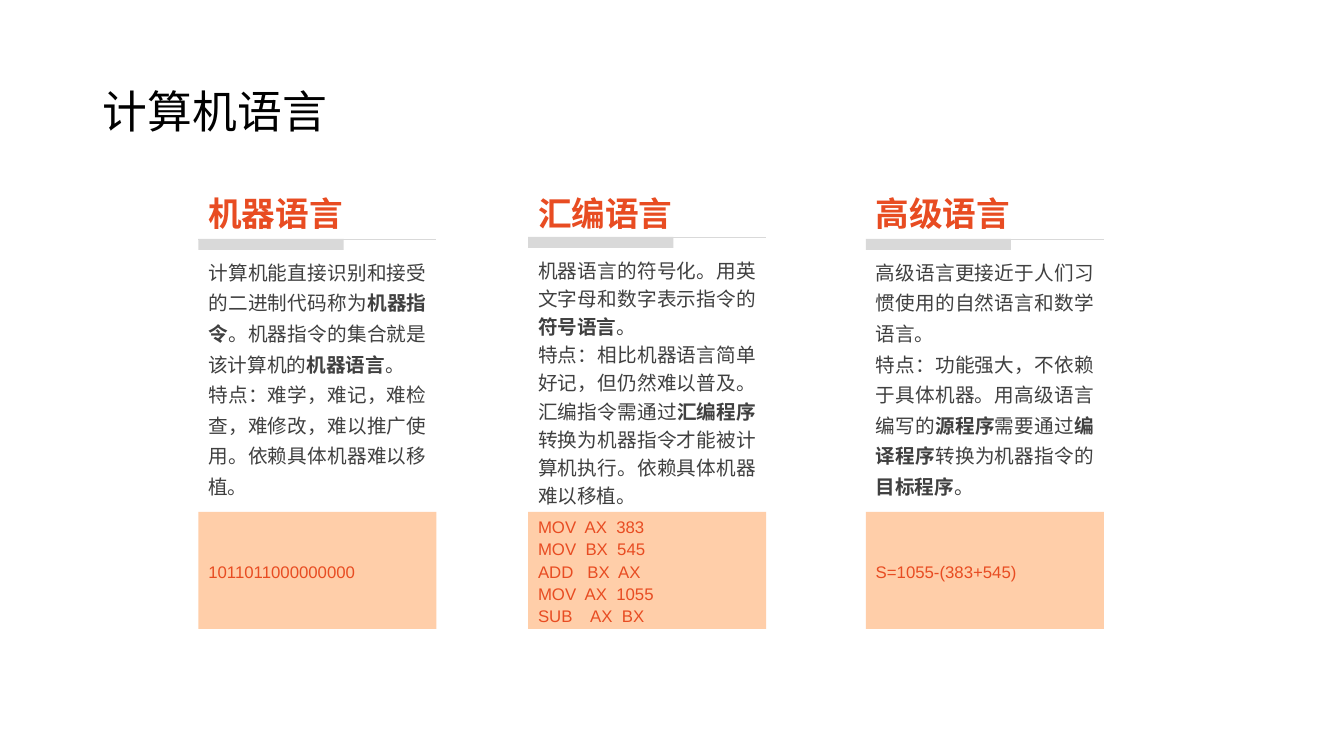
"""Build a slide that compares three kinds of computer language."""
import pptx
import pptx.util
import pptx.dml.color
import pptx.enum.shapes
import pptx.enum.text
import lxml.etree
import pptx.oxml.ns

Cm = pptx.util.Cm
ALIGN = pptx.enum.text.PP_ALIGN
ANCHOR = pptx.enum.text.MSO_ANCHOR

TITLE = "计算机语言"
COLS = [
    {
        "left": 5, "rule": 6.02, "space": 1.3, "head": "机器语言",
        "body": [
            ["计算机能直接识别和接受的二进制代码称为", "机器指令",
             "。机器指令的集合就是该计算机的", "机器语言", "。"],
            ["特点：难学，难记，难检查，难修改，难以推广使用。依赖具体机器难以移植。"],
        ],
        "code": ["1011011000000000"],
    },
    {
        "left": 13.31, "rule": 5.97, "space": 1.2, "head": "汇编语言",
        "body": [
            ["机器语言的符号化。用英文字母和数字表示指令的", "符号语言", "。"],
            ["特点：相比机器语言简单好记，但仍然难以普及。汇编指令需通过", "汇编程序",
             "转换为机器指令才能被计算机执行。依赖具体机器难以移植。"],
        ],
        "code": ["MOV  AX  383", "MOV  BX  545", "ADD   BX  AX",
                 "MOV  AX  1055", "SUB    AX  BX"],
    },
    {
        "left": 21.82, "rule": 6.02, "space": 1.3, "head": "高级语言",
        "body": [
            ["高级语言更接近于人们习惯使用的自然语言和数学语言。"],
            ["特点：功能强大，不依赖于具体机器。用高级语言编写的", "源程序",
             "需要通过", "编译程序", "转换为机器指令的", "目标程序", "。"],
        ],
        "code": ["S=1055-(383+545)"],
    },
]
COLORS = {"title": "000000", "accent": "E84C22", "text": "404040",
          "panel": "FFCEA9", "rule": "D9D9D9"}
CJK, LATIN = "Noto Sans CJK SC", "Arial"
WIDTH = 6


def color(name):
    return pptx.dml.color.RGBColor.from_string(COLORS[name])


def write(frame, paras, size, tint, face=CJK, align=ALIGN.LEFT, space=1.0,
          anchor=ANCHOR.TOP, bold=False):
    """Fill a frame; every second run of a paragraph is bold."""
    frame.word_wrap = True
    frame.auto_size = pptx.enum.text.MSO_AUTO_SIZE.NONE
    frame.vertical_anchor = anchor
    for i, runs in enumerate(paras):
        para = frame.add_paragraph() if i else frame.paragraphs[0]
        para.alignment, para.line_spacing = align, space
        font = para.font
        font.size, font.bold, font.name = pptx.util.Pt(size), bold, face
        font.color.rgb = color(tint)
        props = para._p.pPr.find(pptx.oxml.ns.qn("a:defRPr"))
        east = lxml.etree.SubElement(props, pptx.oxml.ns.qn("a:ea"))
        east.set("typeface", face)
        for j, text in enumerate(runs):
            run = para.add_run()
            run.text = text
            if j % 2:
                run.font.bold = True


def text_box(shapes, left, top, high):
    return shapes.add_textbox(Cm(left), Cm(top), Cm(WIDTH), Cm(high)).text_frame


def block(shapes, left, top, wide, high, tint):
    rect = shapes.add_shape(pptx.enum.shapes.MSO_SHAPE.RECTANGLE,
                            Cm(left), Cm(top), Cm(wide), Cm(high))
    rect.shadow.inherit = False
    rect.fill.solid()
    rect.fill.fore_color.rgb = color(tint)
    rect.line.fill.background()
    return rect


def rule(shapes, left, top):
    line = shapes.add_connector(pptx.enum.shapes.MSO_CONNECTOR.STRAIGHT,
                                Cm(left), Cm(top), Cm(left + WIDTH), Cm(top))
    line.line.color.rgb = color("rule")
    line.line.width = pptx.util.Pt(0.5)
    lxml.etree.SubElement(line._element.spPr, pptx.oxml.ns.qn("a:effectLst"))


def main():
    deck = pptx.Presentation()
    deck.slide_width, deck.slide_height = Cm(33.87), Cm(19.05)
    slide = deck.slides.add_slide(deck.slide_layouts[5])
    shapes = slide.shapes

    title = shapes.title
    title.left, title.top = Cm(2.34), Cm(1.02)
    title.width, title.height = Cm(29.21), Cm(3.68)
    write(title.text_frame, [[TITLE]], 32, "title", space=0.9,
          anchor=ANCHOR.MIDDLE)

    for col in COLS:
        left = col["left"]
        write(text_box(shapes, left, 4.8, 1.19), [[col["head"]]], 24, "accent",
              anchor=ANCHOR.BOTTOM, bold=True)
        write(text_box(shapes, left, 6.27, 6.81), col["body"], 14, "text",
              align=ALIGN.JUSTIFY, space=col["space"])
        panel = block(shapes, left, 12.9, WIDTH, 2.95, "panel")
        write(panel.text_frame, [[line] for line in col["code"]], 12, "accent",
              face=LATIN, align=ALIGN.JUSTIFY, space=1.1, anchor=ANCHOR.MIDDLE)
        block(shapes, left, col["rule"], 3.66, 0.28, "rule")
        rule(shapes, left, col["rule"])

    deck.save("out.pptx")


if __name__ == "__main__":
    main()
